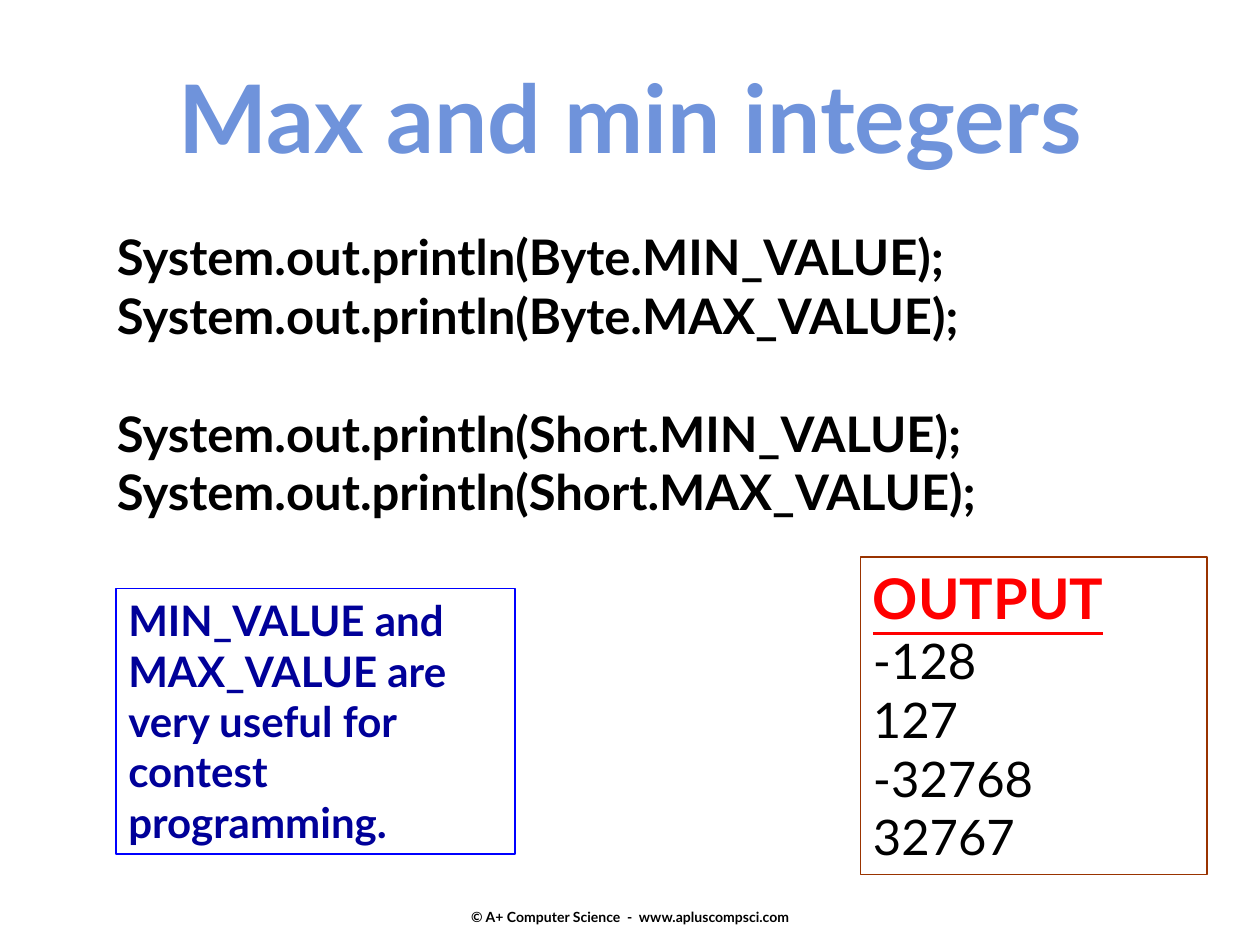
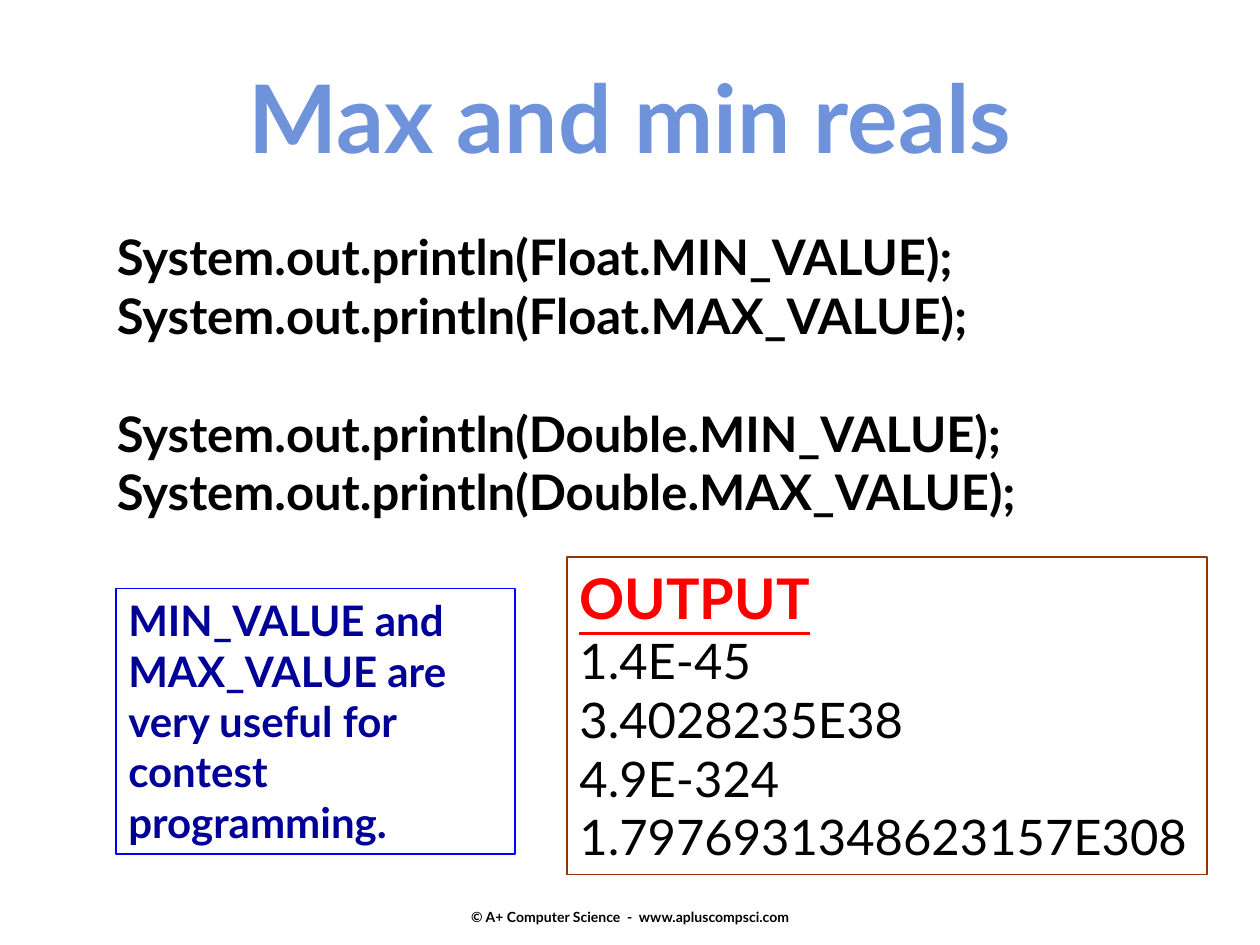
from dataclasses import dataclass
from typing import Optional

from pptx import Presentation
from pptx import util as u
from pptx.dml.color import RGBColor
from pptx.enum import shapes, text

FONT = "Lato"
BLACK = "000000"
TITLE_BLUE = "6F93DB"
NOTE_BLUE = "000099"
NOTE_BORDER = "0000FF"
OUTPUT_RED = "FF0000"
OUTPUT_BORDER = "993300"

CODE_SIZE = 28
LINE_HEIGHT = 1.2
OUTPUT_RIGHT = 9.58
NOTE = "MIN_VALUE and MAX_VALUE are very useful for contest programming."
FOOTER = "© A+ Computer Science  -  www.apluscompsci.com"


@dataclass(frozen=True)
class Line:
    words: str
    size: float
    color: str = BLACK
    bold: bool = True
    underline: bool = False
    centered: bool = False
    space_before: float = 0


@dataclass(frozen=True)
class Box:
    left: float
    top: float
    width: float
    height: float
    border: Optional[str] = None
    anchor: text.MSO_ANCHOR = text.MSO_ANCHOR.TOP


@dataclass(frozen=True)
class Lesson:
    title: str
    types: tuple[str, ...]
    results: tuple[str, ...]
    code_width: float
    output_left: float


TITLE_BOX = Box(0, 0.42, 10, 1.01)
NOTE_BOX = Box(0.92, 4.67, 3.17, 2.11, NOTE_BORDER)
FOOTER_BOX = Box(3.42, 7.13, 3.17, 0.3, anchor=text.MSO_ANCHOR.MIDDLE)

LESSONS = (
    Lesson("Max and min integers", ("Byte", "Short"),
           ("-128", "127", "-32768", "32767"), 7.92, 6.83),
    Lesson("Max and min reals", ("Float", "Double"),
           ("1.4E-45", "3.4028235E38", "4.9E-324", "1.7976931348623157E308"),
           8.46, 4.5),
)


def rgb(color: str) -> RGBColor:
    return RGBColor.from_string(color)


def add_box(slide, box: Box, lines: list[Line]) -> None:
    """Draw a text box, or a bordered rectangle when the box has a border."""
    place = [u.Inches(n) for n in (box.left, box.top, box.width, box.height)]
    if box.border:
        shape = slide.shapes.add_shape(shapes.MSO_SHAPE.RECTANGLE, *place)
        shape.shadow.inherit = False
        shape.fill.background()
        shape.line.color.rgb = rgb(box.border)
        shape.line.width = u.Pt(1)
    else:
        shape = slide.shapes.add_textbox(*place)
    frame = shape.text_frame
    frame.word_wrap = True
    frame.vertical_anchor = box.anchor
    for index, line in enumerate(lines):
        paragraph = frame.add_paragraph() if index else frame.paragraphs[0]
        paragraph.alignment = text.PP_ALIGN.CENTER if line.centered else text.PP_ALIGN.LEFT
        if line.space_before:
            paragraph.space_before = u.Pt(line.space_before)
        run = paragraph.add_run()
        run.text = line.words
        run.font.name = FONT
        run.font.size = u.Pt(line.size)
        run.font.bold = line.bold
        run.font.underline = line.underline
        run.font.color.rgb = rgb(line.color)


def code_lines(types: tuple[str, ...]) -> list[Line]:
    """Print both limits of each type, one line of space between types."""
    return [
        Line(f"System.out.println({name}.{limit}_VALUE);", CODE_SIZE,
             space_before=CODE_SIZE * LINE_HEIGHT if index and limit == "MIN" else 0)
        for index, name in enumerate(types)
        for limit in ("MIN", "MAX")
    ]


def output_lines(results: tuple[str, ...]) -> list[Line]:
    heading = Line("OUTPUT", 32, OUTPUT_RED, underline=True)
    return [heading] + [Line(result, CODE_SIZE, bold=False) for result in results]


def add_lesson(presentation, lesson: Lesson) -> None:
    slide = presentation.slides.add_slide(presentation.slide_layouts[6])
    output_box = Box(lesson.output_left, 4.42, OUTPUT_RIGHT - lesson.output_left,
                     2.52, OUTPUT_BORDER)
    add_box(slide, FOOTER_BOX, [Line(FOOTER, 8, centered=True)])
    add_box(slide, Box(0.83, 1.75, lesson.code_width, 2.44), code_lines(lesson.types))
    add_box(slide, output_box, output_lines(lesson.results))
    add_box(slide, NOTE_BOX, [Line(NOTE, 24, NOTE_BLUE)])
    add_box(slide, TITLE_BOX, [Line(lesson.title, 54, TITLE_BLUE, centered=True)])


def main() -> None:
    presentation = Presentation()
    presentation.slide_width = u.Inches(10)
    presentation.slide_height = u.Inches(7.5)
    for lesson in LESSONS:
        add_lesson(presentation, lesson)
    presentation.save("out.pptx")


if __name__ == "__main__":
    main()
